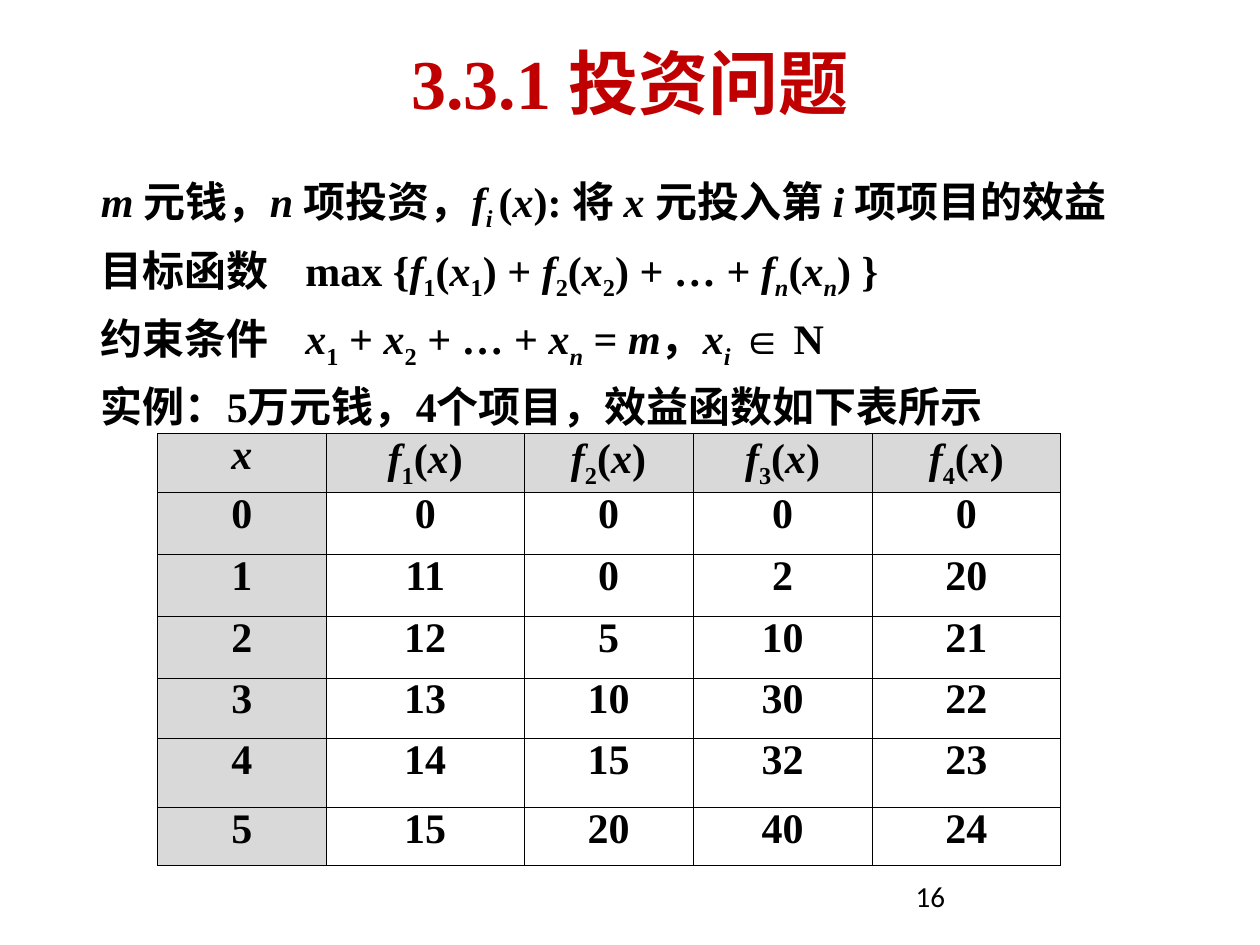
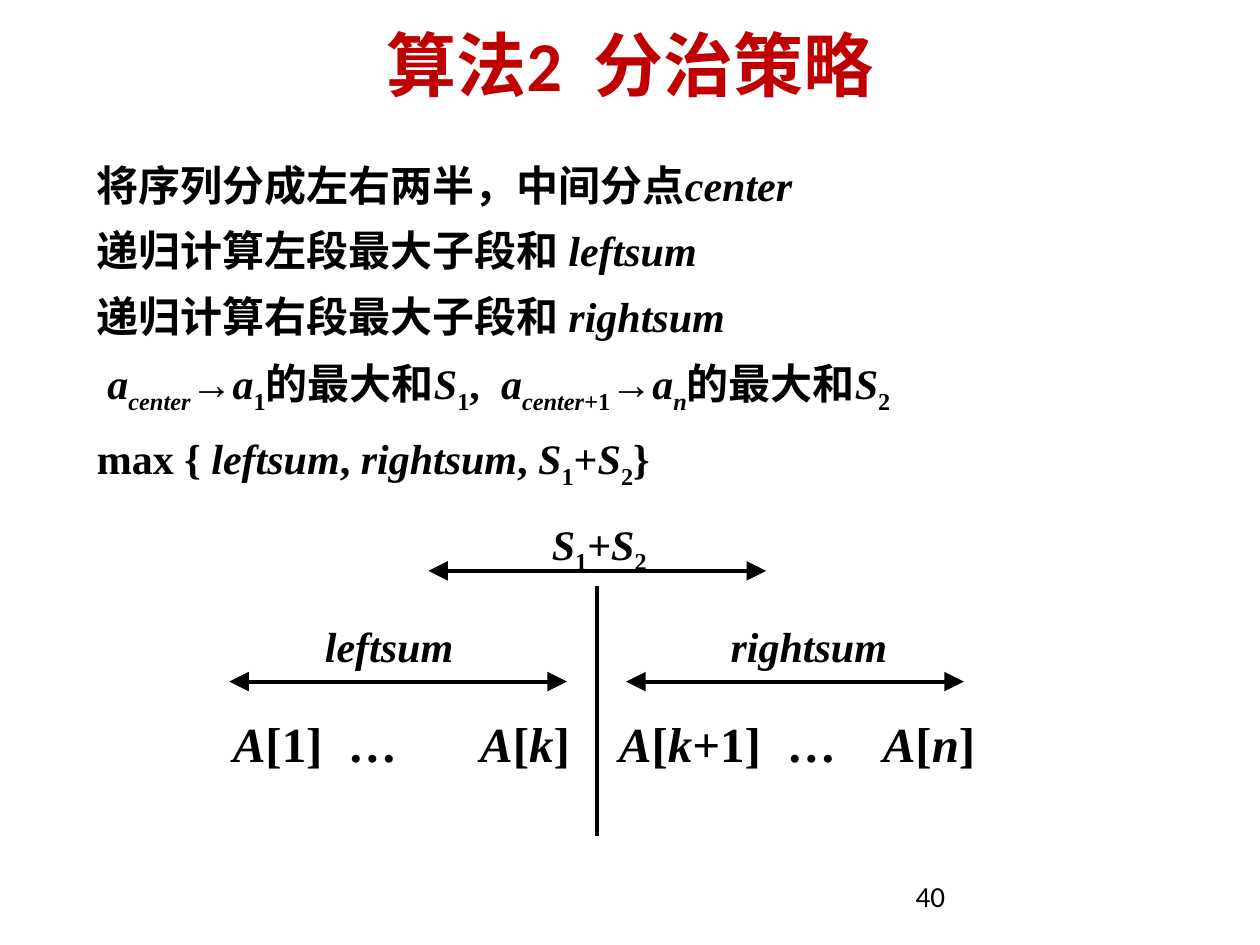
from itertools import groupby
from pptx import Presentation
from pptx.dml.color import RGBColor
from pptx.enum.shapes import MSO_CONNECTOR
from pptx.enum.text import MSO_ANCHOR, MSO_AUTO_SIZE, PP_ALIGN
from pptx.oxml.ns import qn
from pptx.util import Pt
from lxml.etree import SubElement

BLACK, RED, GREY, WHITE = "000000", "C00000", "D9D9D9", "FFFFFF"
SERIF, SANS, SYMBOL = "Times New Roman", "Calibri", "Arial"
SYMBOLS = "∈→"

INVESTMENT = {
    "title": [("3.3.1 ", SERIF), ("投资问题", SANS)],
    "title_top": 21.6,
    "number": "16",
    "body_place": (50.4, 90, 648, 186),
    "spacing": 1.2,
    "gap": 15.5,
    "lines": [
        ("*m *元钱，*n *项投资，*f_i _*(*x*): 将 *x *元投入第 *i *项项目的效益", 0),
        ("目标函数~max {*f*_1_(*x*_1_) + *f*_2_(*x*_2_) + … + *f_n_*(*x_n_*) }", 0),
        ("约束条件~*x*_1_ + *x*_2_ + … + *x_n_ *= *m*，*x_i_ *∈ N", 0),
        ("实例：5万元钱，4个项目，效益函数如下表所示", 0),
    ],
}
BENEFITS = [
    ["*x*"] + [f"*f*_{project}_(*x*)" for project in range(1, 5)],
    [0, 0, 0, 0, 0],
    [1, 11, 0, 2, 20],
    [2, 12, 5, 10, 21],
    [3, 13, 10, 30, 22],
    [4, 14, 15, 32, 23],
    [5, 15, 20, 40, 24],
]
COLUMN_WIDTHS = [96.5, 113, 96.5, 102.5, 107.5]
ROW_HEIGHTS = [33.8, 35.3, 35.3, 35.3, 34.5, 39.3, 33.2]

DIVIDE = {
    "title": [("算法2~分治策略", SANS)],
    "title_top": 11.5,
    "number": "40",
    "body_place": (48.2, 78.9, 595.4, 204.5),
    "spacing": 1.3,
    "gap": 6,
    "lines": [
        ("将序列分成左右两半，中间分点*center*", 0),
        ("递归计算左段最大子段和 *leftsum*", 0),
        ("递归计算右段最大子段和 *rightsum*", 0),
        ("*a_center_*→*a*_1_的最大和*S*_1_,~*a_center*+1_→*a_n_*的最大和*S*_2_", 6),
        ("max { *leftsum*, *rightsum*, *S*_1_+*S*_2_}", 0),
    ],
}
TITLE_GAP = 9
SPAN_WIDTH = 193
SPANS = [(131, 389.5), (357.8, 389.5), (244.8, 326.2)]
DIVIDER = (341.3, 334.8, 341.3, 478)
LABELS = [
    ("*leftsum*", (178.6, 351, 88, 36)),
    ("*rightsum*", (410.4, 351, 104, 36)),
    ("*S*_1_+*S*_2_", (308.2, 292.7, 96, 40)),
]
ARRAY_TOP, ARRAY_HEIGHT = 404, 41
ARRAY = [
    ("*A*[1]", 126, 66),
    ("…", 191.7, 43),
    ("*A*[*k*]", 267.3, 66),
    ("*A*[*k*+1]", 346.6, 96),
    ("…", 442.6, 43),
    ("*A*[*n*]", 497.4, 68),
]


def colour(value):
    return RGBColor.from_string(value)


def set_font(font, name, size, bold=True, ink=BLACK):
    font.name, font.size, font.bold = name, Pt(size), bold
    font.color.rgb = colour(ink)


def place(shape, left, top, width, height):
    shape.left, shape.top = Pt(left), Pt(top)
    shape.width, shape.height = Pt(width), Pt(height)


def kind_of(letter):
    if letter in "*_~":
        return letter
    return SYMBOL if letter in SYMBOLS else ""


def add_spans(para, markup, gap=0, name=None):
    """Write markup where * toggles italic, _ toggles subscript and ~ is a space widened by gap."""
    italic = lowered = False
    for kind, letters in groupby(markup, kind_of):
        if kind == "*":
            italic = not italic
        elif kind == "_":
            lowered = not lowered
        else:
            span = para.add_run()
            span.text = " " if kind == "~" else "".join(letters)
            if kind == SYMBOL or name:
                span.font.name = SYMBOL if kind == SYMBOL else name
            if italic:
                span.font.italic = True
            if lowered:
                span._r.get_or_add_rPr().set("baseline", "-25000")
            if kind == "~":
                span._r.get_or_add_rPr().set("spc", str(round(gap * 100)))


def write(para, markup, size=24, spacing=None, gap=0, indent=0, name=SERIF, bold=True):
    properties = para._p.get_or_add_pPr()
    properties.set("marL", str(Pt(indent)))
    properties.set("indent", "0")
    SubElement(properties, qn("a:buNone"))
    para.space_before = Pt(0)
    para.line_spacing = spacing
    set_font(para.font, name, size, bold)
    add_spans(para, markup, gap)


def add_text(page, markup, where, wrap=True, **style):
    box = page.shapes.add_textbox(*map(Pt, where))
    box.text_frame.word_wrap = wrap
    write(box.text_frame.paragraphs[0], markup, **style)


def add_line(page, start_x, start_y, end_x, end_y, arrows=False):
    line = page.shapes.add_connector(
        MSO_CONNECTOR.STRAIGHT, Pt(start_x), Pt(start_y), Pt(end_x), Pt(end_y))
    line.line.width = Pt(2.25)
    line.line.color.rgb = colour(BLACK)
    if arrows:
        for end in ("a:headEnd", "a:tailEnd"):
            SubElement(line.line._get_or_add_ln(), qn(end), type="triangle", w="lg", len="lg")
    SubElement(line._element.spPr, qn("a:effectLst"))


def add_page(deck, content):
    page = deck.slides.add_slide(deck.slide_layouts[1])
    title, body = page.placeholders
    place(title, 36, content["title_top"], 648, 49.7)
    title.text_frame.vertical_anchor = MSO_ANCHOR.MIDDLE
    para = title.text_frame.paragraphs[0]
    para.alignment = PP_ALIGN.CENTER
    set_font(para.font, SANS, 40, ink=RED)
    for text, name in content["title"]:
        add_spans(para, text, TITLE_GAP, name)

    place(body, *content["body_place"])
    frame = body.text_frame
    frame.auto_size = MSO_AUTO_SIZE.NONE
    for index, (markup, indent) in enumerate(content["lines"]):
        para = frame.add_paragraph() if index else frame.paragraphs[0]
        write(para, markup, spacing=content["spacing"], gap=content["gap"], indent=indent)
    add_text(page, content["number"], (516.2, 500.8, 167.8, 28.8),
             size=16.6, spacing=0.9, name=SANS, bold=False)
    return page


def set_borders(cell):
    properties = cell._tc.get_or_add_tcPr()
    for index, side in enumerate(("a:lnL", "a:lnR", "a:lnT", "a:lnB")):
        border = properties.makeelement(qn(side), {"w": str(Pt(0.45))})
        properties.insert(index, border)
        fill = SubElement(border, qn("a:solidFill"))
        SubElement(fill, qn("a:srgbClr"), val=BLACK)


def add_benefit_table(page):
    table = page.shapes.add_table(
        len(BENEFITS), len(COLUMN_WIDTHS), Pt(90), Pt(247.7),
        Pt(sum(COLUMN_WIDTHS)), Pt(sum(ROW_HEIGHTS))).table
    for column, width in zip(table.columns, COLUMN_WIDTHS):
        column.width = Pt(width)
    for row_index, (values, height) in enumerate(zip(BENEFITS, ROW_HEIGHTS)):
        table.rows[row_index].height = Pt(height)
        for column_index, value in enumerate(values):
            cell = table.cell(row_index, column_index)
            cell.fill.solid()
            heading = row_index == 0 or column_index == 0
            cell.fill.fore_color.rgb = colour(GREY if heading else WHITE)
            set_borders(cell)
            para = cell.text_frame.paragraphs[0]
            para.alignment = PP_ALIGN.CENTER
            write(para, str(value), spacing=0.8)


def add_segment_diagram(page):
    add_line(page, *DIVIDER)
    for left, level in SPANS:
        add_line(page, left, level, left + SPAN_WIDTH, level, arrows=True)
    for markup, where in LABELS:
        add_text(page, markup, where, wrap=False)
    for markup, left, width in ARRAY:
        add_text(page, markup, (left, ARRAY_TOP, width, ARRAY_HEIGHT), wrap=False, size=28)


def main():
    deck = Presentation()
    deck.slide_width, deck.slide_height = Pt(720), Pt(540)
    add_benefit_table(add_page(deck, INVESTMENT))
    add_segment_diagram(add_page(deck, DIVIDE))
    deck.save("out.pptx")


if __name__ == "__main__":
    main()
